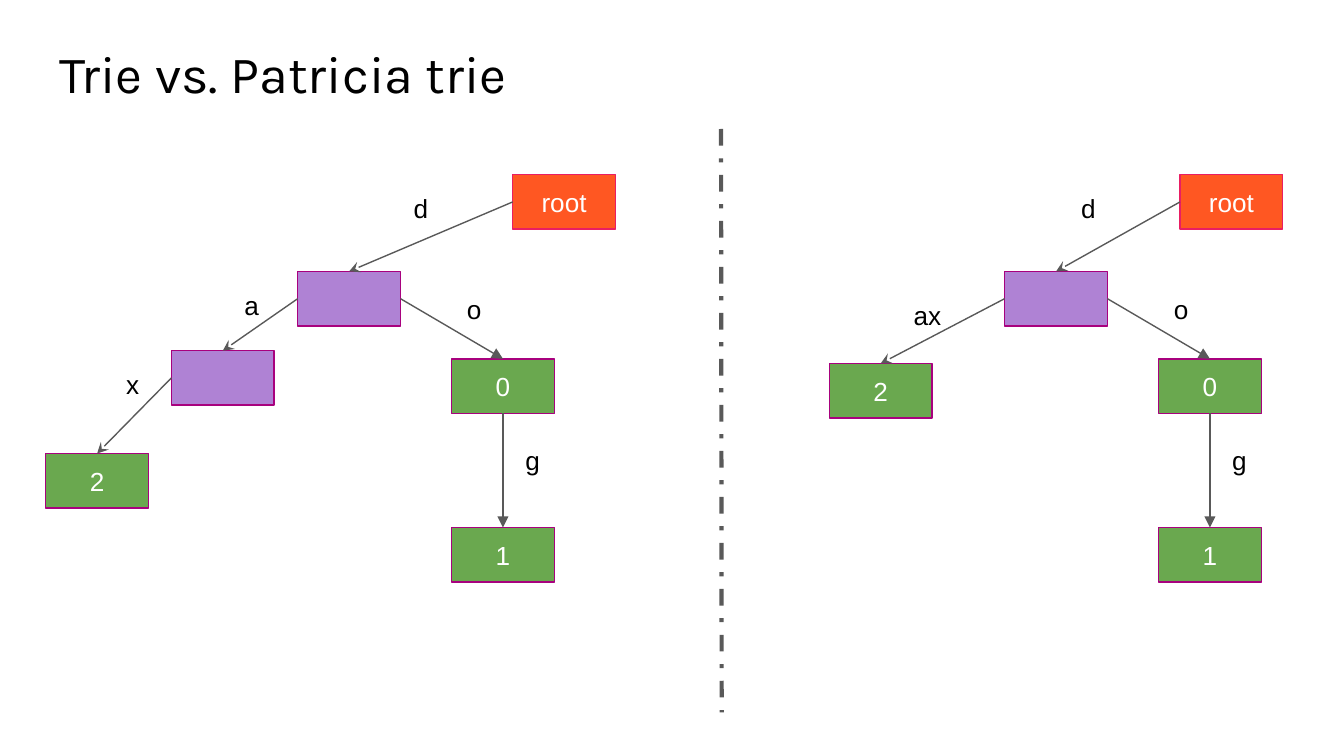
"""Build a slide that sets a trie beside a Patricia trie."""
from pptx import Presentation, util as u
from pptx.dml.color import RGBColor
from pptx.enum import dml, shapes, text
from pptx.oxml import parse_xml
from pptx.oxml.ns import nsdecls

PX = 4572
WIDE, HIGH = 153, 81
BLACK = RGBColor(0x00, 0x00, 0x00)
WHITE = RGBColor(0xFF, 0xFF, 0xFF)
GREY = RGBColor(0x59, 0x59, 0x59)
ORANGE = RGBColor(0xFF, 0x57, 0x22)
PINK = RGBColor(0xE9, 0x1E, 0x63)
PURPLE = RGBColor(0xAF, 0x82, 0xD4)
PLUM = RGBColor(0xA8, 0x01, 0x7E)
GREEN = RGBColor(0x6A, 0xA8, 0x4F)

deck = Presentation()
deck.slide_width, deck.slide_height = 2000 * PX, 1125 * PX
slide = deck.slides.add_slide(deck.slide_layouts[5])
items = slide.shapes


def write(words, shape, font="Arial", size=14, color=BLACK,
          align=text.PP_ALIGN.LEFT, anchor=text.MSO_ANCHOR.TOP):
    frame = shape.text_frame
    frame.word_wrap = True
    frame.auto_size = text.MSO_AUTO_SIZE.NONE
    frame.vertical_anchor = anchor
    frame.margin_left = frame.margin_right = 20 * PX
    frame.margin_top = frame.margin_bottom = 20 * PX
    par = frame.paragraphs[0]
    par.alignment = align
    if words:
        run = par.add_run()
        run.text = words
        run.font.name, run.font.size = font, u.Pt(size)
        run.font.color.rgb = color


def draw(x1, y1, x2, y2, width=0.75, head=None):
    line = items.add_connector(shapes.MSO_CONNECTOR.STRAIGHT,
                               x1 * PX, y1 * PX, x2 * PX, y2 * PX)
    line.line.color.rgb = GREY
    line.line.width = u.Pt(width)
    if head:
        tip = f'<a:tailEnd {nsdecls("a")} type="{head}"/>'
        line.line._get_or_add_ln().append(parse_xml(tip))
    line._element.spPr.append(parse_xml(f'<a:effectLst {nsdecls("a")}/>'))
    return line


title = items.title
title.left, title.top = 68 * PX, 42 * PX
title.width, title.height = 1864 * PX, 126 * PX
write("Trie vs. Patricia trie", title, font="Karla", size=28)

trees = [
    (443, 763,
     {"ax": (255, 522, "", PURPLE), "two": (68, 675, "2", GREEN)},
     [("mid", "ax", 1, "a", 344, 411), ("ax", "two", 1, "x", 168, 528)]),
    (1495, 1756,
     {"two": (1234, 541, "2", GREEN)},
     [("mid", "two", 1, "ax", 1340, 426)]),
]
for left, top, nodes, edges in trees:
    nodes = {
        "root": (top, 260, "root", ORANGE),
        "mid": (left, 404, "", PURPLE),
        "zero": (left + 229, 534, "0", GREEN),
        "one": (left + 229, 785, "1", GREEN),
        **nodes,
    }
    edges = [
        ("root", "mid", 1, "d", top - 167, 266),
        ("mid", "zero", 3, "o", left + 232, 417),
        ("zero", "one", 2, "g", left + 319, 642),
        *edges,
    ]
    boxes = {}
    for name, (x, y, words, fill) in nodes.items():
        box = items.add_shape(shapes.MSO_SHAPE.RECTANGLE,
                              x * PX, y * PX, WIDE * PX, HIGH * PX)
        box.shadow.inherit = False
        box.fill.solid()
        box.fill.fore_color.rgb = fill
        box.line.color.rgb = PINK if name == "root" else PLUM
        box.line.width = u.Pt(0.75)
        write(words, box, color=WHITE, align=text.PP_ALIGN.CENTER,
              anchor=text.MSO_ANCHOR.MIDDLE)
        boxes[name] = box
    for start, end, side, words, x, y in edges:
        edge = draw(0, 0, 1, 1, head="stealth" if side == 1 else "triangle")
        edge.begin_connect(boxes[start], side)
        edge.end_connect(boxes[end], 0)
        label = items.add_textbox(x * PX, y * PX,
                                  (40 + 24 * len(words)) * PX, 68 * PX)
        write(words, label)

split = draw(1073, 192, 1074, 1060, width=2.25)
split.line.dash_style = dml.MSO_LINE.DASH_DOT

deck.save("out.pptx")
